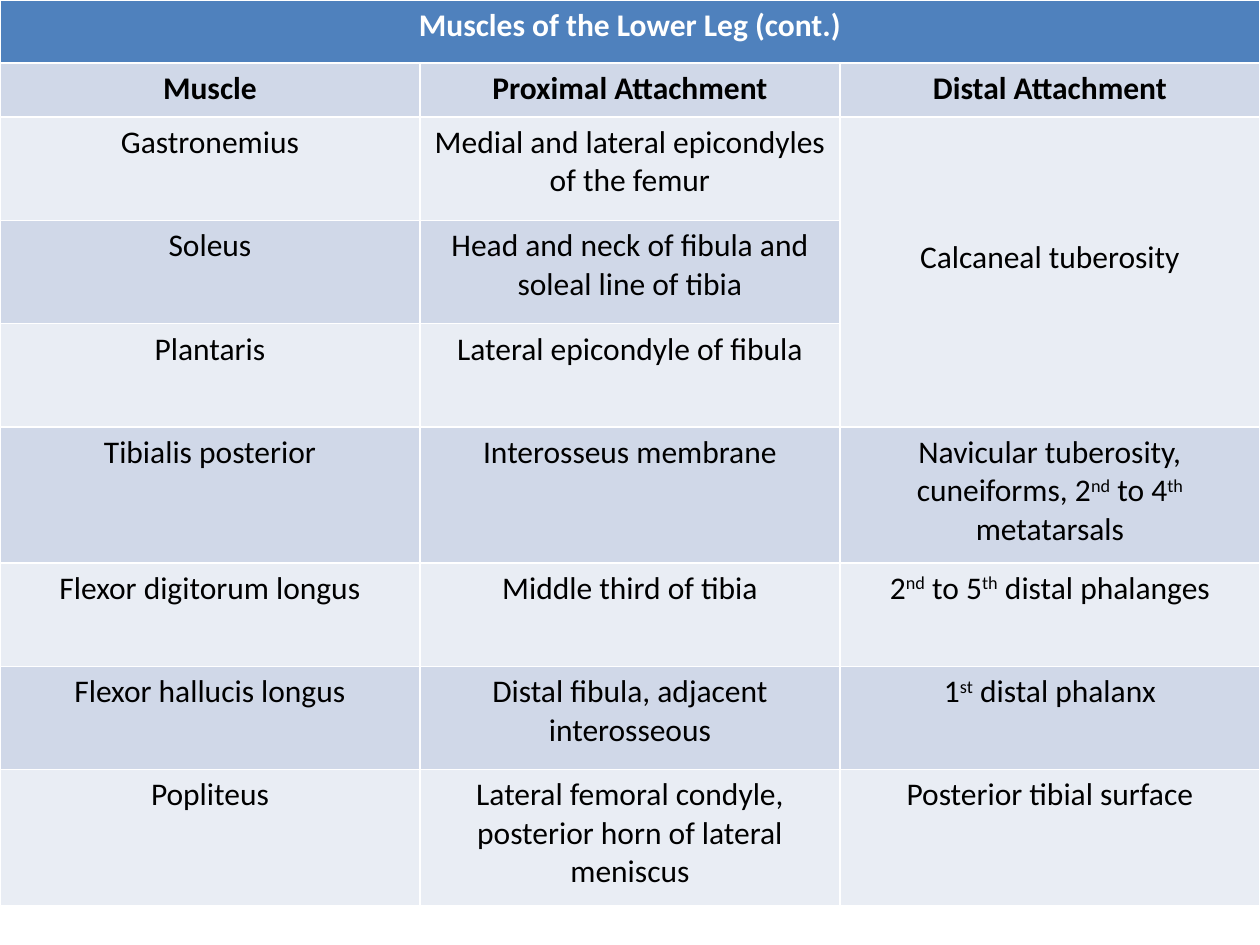
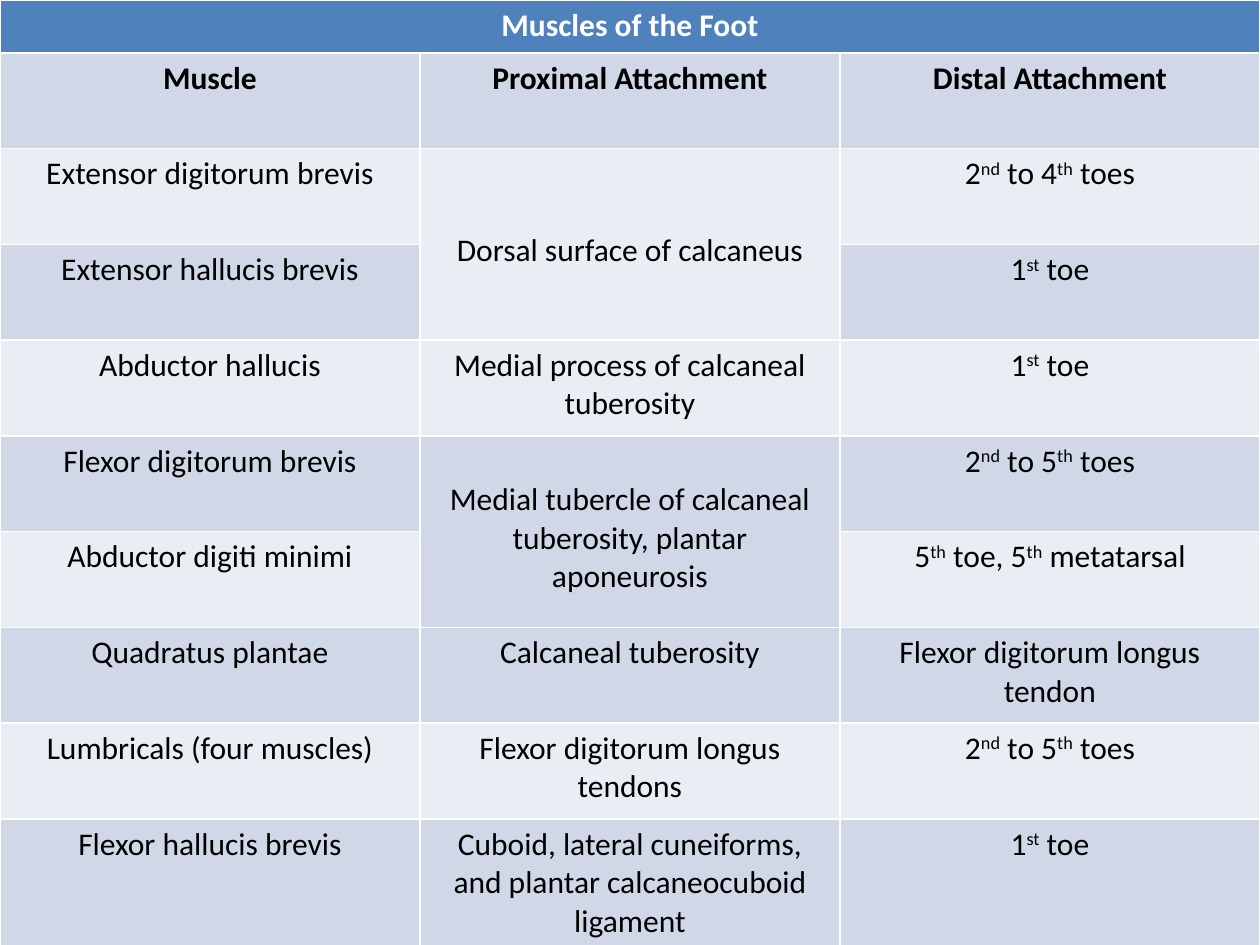
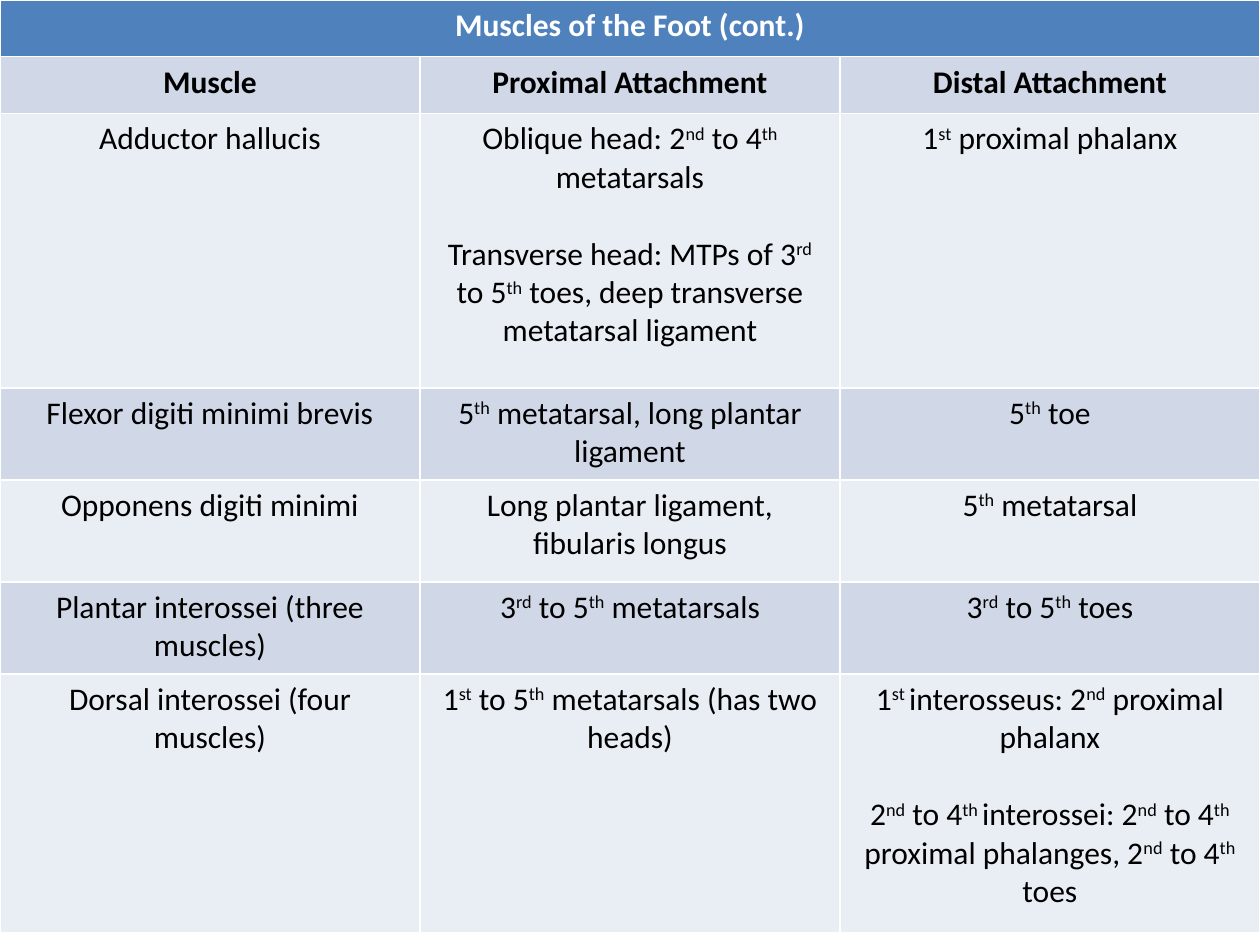
"""Build three slides of muscle attachment tables for the lower leg and foot."""
from pptx import Presentation
from pptx.dml.color import RGBColor
from pptx.enum.text import PP_ALIGN as Align
from pptx.util import Inches, Pt

COLORS = {"header": "4F81BD", "dark_band": "D0D8E8", "light_band": "E9EDF4",
          "header_text": "FFFFFF", "text": "000000"}
FONT = "Calibri"
FONT_SIZE = Pt(18)
LINE_HEIGHT = Pt(22)
CELL_MARGIN = Inches(0.05)
COLUMN_TITLES = ("Muscle", "Proximal Attachment", "Distal Attachment")

# Text between carets is superscript; each merge is row, column, rows spanned, lines of top offset.
TABLES = [
    {
        "title": "Muscles of the Lower Leg (cont.)",
        "heights": [0.5, 0.43, 0.82, 0.82, 0.82, 1.08, 0.82, 0.82, 1.08],
        "merges": [(2, 2, 3, 3)],
        "muscles": [
            ("Gastronemius", "Medial and lateral epicondyles of the femur", "Calcaneal tuberosity"),
            ("Soleus", "Head and neck of fibula and soleal line of tibia", None),
            ("Plantaris", "Lateral epicondyle of fibula", None),
            ("Tibialis posterior", "Interosseus membrane",
             "Navicular tuberosity, cuneiforms, 2^nd^ to 4^th^ metatarsals"),
            ("Flexor digitorum longus", "Middle third of tibia", "2^nd^ to 5^th^ distal phalanges"),
            ("Flexor hallucis longus", "Distal fibula, adjacent interosseous", "1^st^ distal phalanx"),
            ("Popliteus", "Lateral femoral condyle, posterior horn of lateral meniscus",
             "Posterior tibial surface"),
        ],
    },
    {
        "title": "Muscles of the Foot",
        "heights": [0.42] + [0.76] * 8 + [1.01],
        "merges": [(2, 1, 2, 2), (5, 1, 2, 1)],
        "muscles": [
            ("Extensor digitorum brevis", "Dorsal surface of calcaneus", "2^nd^ to 4^th^ toes"),
            ("Extensor hallucis brevis", None, "1^st^ toe"),
            ("Abductor hallucis", "Medial process of calcaneal tuberosity", "1^st^ toe"),
            ("Flexor digitorum brevis", "Medial tubercle of calcaneal tuberosity, plantar aponeurosis",
             "2^nd^ to 5^th^ toes"),
            ("Abductor digiti minimi", None, "5^th^ toe, 5^th^ metatarsal"),
            ("Quadratus plantae", "Calcaneal tuberosity", "Flexor digitorum longus tendon"),
            ("Lumbricals (four muscles)", "Flexor digitorum longus tendons", "2^nd^ to 5^th^ toes"),
            ("Flexor hallucis brevis", "Cuboid, lateral cuneiforms, and plantar calcaneocuboid ligament",
             "1^st^ toe"),
        ],
    },
    {
        "title": "Muscles of the Foot (cont.)",
        "heights": [0.45, 0.45, 2.18, 0.73, 0.81, 0.73, 2.05],
        "merges": [],
        "muscles": [
            ("Adductor hallucis",
             "Oblique head: 2^nd^ to 4^th^ metatarsals\n"
             "Transverse head: MTPs of 3^rd^ to 5^th^ toes, deep transverse metatarsal ligament",
             "1^st^ proximal phalanx"),
            ("Flexor digiti minimi brevis", "5^th^ metatarsal, long plantar ligament", "5^th^ toe"),
            ("Opponens digiti minimi", "Long plantar ligament, fibularis longus", "5^th^ metatarsal"),
            ("Plantar interossei (three muscles)", "3^rd^ to 5^th^ metatarsals", "3^rd^ to 5^th^ toes"),
            ("Dorsal interossei (four muscles)", "1^st^ to 5^th^ metatarsals (has two heads)",
             "1^st ^interosseus: 2^nd^ proximal phalanx\n"
             "2^nd^ to 4^th ^interossei: 2^nd^ to 4^th^ proximal phalanges, 2^nd^ to 4^th^ toes"),
        ],
    },
]


def write_cell(cell, text, color, bold):
    for number, line in enumerate(text.split("\n")):
        if number:
            paragraph = cell.text_frame.add_paragraph()
            paragraph.space_before = LINE_HEIGHT
        else:
            paragraph = cell.text_frame.paragraphs[0]
        paragraph.alignment = Align.CENTER
        for position, part in enumerate(line.split("^")):
            if not part:
                continue
            run = paragraph.add_run()
            run.text = part
            run.font.name = FONT
            run.font.size = FONT_SIZE
            run.font.bold = bold
            run.font.color.rgb = RGBColor.from_string(COLORS[color])
            if position % 2:
                run._r.get_or_add_rPr().set("baseline", "30000")


presentation = Presentation()
presentation.slide_width = Inches(10)
presentation.slide_height = Inches(7.5)

for content in TABLES:
    slide = presentation.slides.add_slide(presentation.slide_layouts[6])
    heights = content["heights"]
    shape = slide.shapes.add_table(len(heights), 3, 0, 0, Inches(10), Inches(sum(heights)))
    table = shape.table
    for row, height in zip(table.rows, heights):
        row.height = Inches(height)

    table.cell(0, 0).merge(table.cell(0, 2))
    for row, column, span, offset in content["merges"]:
        cell = table.cell(row, column)
        cell.merge(table.cell(row + span - 1, column))
        cell.margin_top = CELL_MARGIN + offset * LINE_HEIGHT

    rows = [(content["title"], None, None), COLUMN_TITLES] + content["muscles"]
    for row, texts in enumerate(rows):
        band = "header" if row == 0 else "dark_band" if row % 2 else "light_band"
        for column, text in enumerate(texts):
            cell = table.cell(row, column)
            cell.fill.solid()
            cell.fill.fore_color.rgb = RGBColor.from_string(COLORS[band])
            if text:
                write_cell(cell, text, "text" if row else "header_text", row < 2)

presentation.save("out.pptx")
